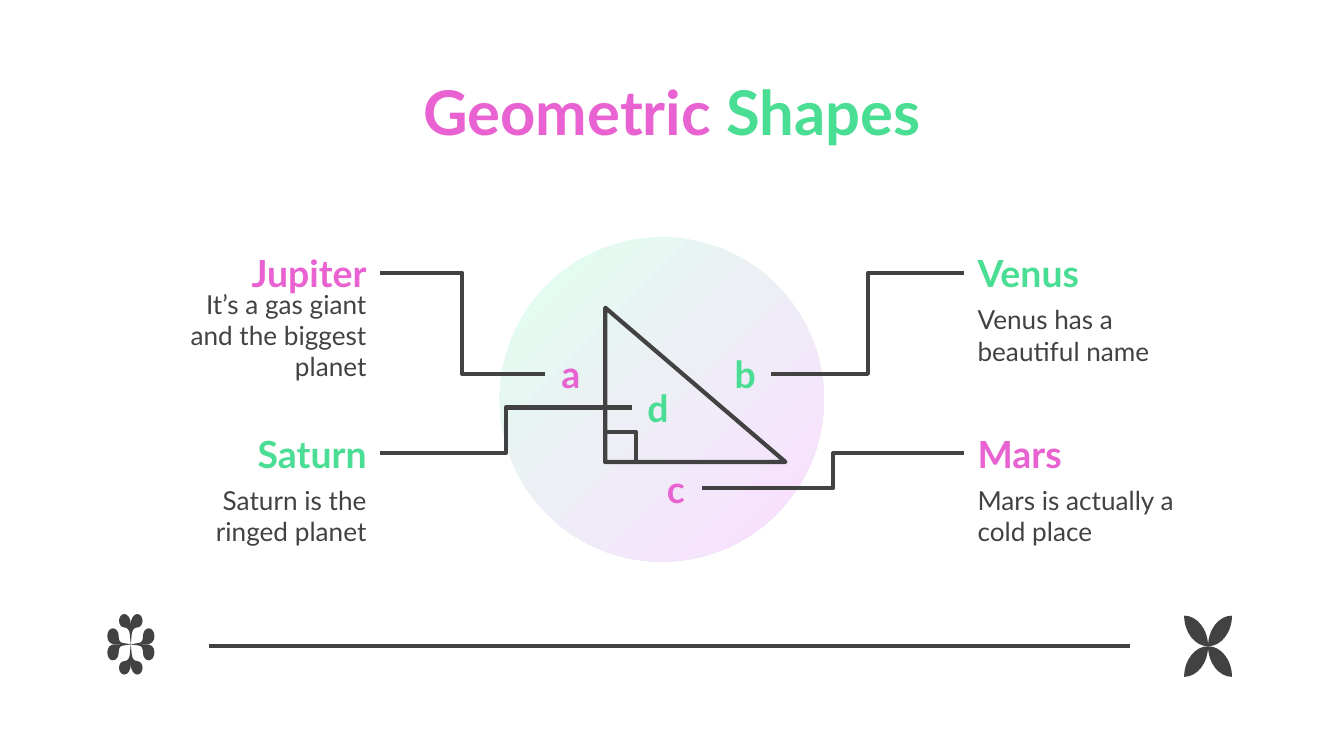
from itertools import product

from pptx import Presentation
from pptx.dml.color import RGBColor
from pptx.enum.shapes import MSO_CONNECTOR, MSO_SHAPE
from pptx.enum.text import MSO_ANCHOR, PP_ALIGN
from pptx.oxml.ns import qn
from pptx.util import Pt

COLORS = {name: RGBColor.from_string(value) for name, value in {
    "pink": "E962D1", "green": "49DE93", "dark": "424242",
    "pale green": "E0FFEE", "pale pink": "FBDDFF"}.items()}

deck = Presentation()
deck.slide_width, deck.slide_height = Pt(720), Pt(405)
page = deck.slides.add_slide(deck.slide_layouts[6])
shapes = page.shapes


def add_text(left, top, width, height, spans, size, align, bold=True, after=0):
    box = shapes.add_textbox(Pt(left), Pt(top), Pt(width), Pt(height))
    frame = box.text_frame
    frame.word_wrap = True
    frame.vertical_anchor = MSO_ANCHOR.MIDDLE
    frame.margin_left = frame.margin_right = Pt(7.2)
    frame.margin_top = frame.margin_bottom = Pt(7.2)
    para = frame.paragraphs[0]
    para.alignment = align
    para.space_after = Pt(after)
    para.font.name, para.font.size, para.font.bold = "Lato", Pt(size), bold
    for text, color in spans:
        span = para.add_run()
        span.text = text
        span.font.color.rgb = COLORS[color]
    return box


def add_line(kind, start, end):
    line = shapes.add_connector(kind, *[Pt(value) for value in (*start, *end)])
    line.line.color.rgb = COLORS["dark"]
    line.line.width = Pt(2.25)
    properties = line._element.spPr
    properties.append(properties.makeelement(qn("a:effectLst"), {}))
    return line


upright_petal = [
    [(-3.4, -16.2)],
    [(-5.1, -16.2), (-6.3, -14.6), (-6.3, -12.6)],
    [(-6.3, -10.6), (-5.1, -9), (-3.4, -9)],
    [(-1.8, -9), (-0.6, -7.5), (-0.5, -5.3)],
    [(0, 0)],
    [(0, 0), (0, -7), (0, -11)],
    [(0, -14), (-1.8, -16.2), (-3.4, -16.2)]]
side_petal = [
    [(-9.6, -8.6)],
    [(-11.3, -8.6), (-12.6, -6.7), (-12.6, -4.3)],
    [(-12.6, -1.5), (-10.8, 0), (-8.6, 0)],
    [(-5, 0), (-1, 0.2), (0, 0)],
    [(-4.3, -0.7)],
    [(-6, -0.9), (-6.5, -2.4), (-6.5, -4.5)],
    [(-6.5, -6.8), (-7.9, -8.6), (-9.6, -8.6)]]
leaf = [
    [(-12.8, -16.4)],
    [(-12.8, -7.4), (-7, 0), (0, 0)],
    [(0, -9), (-5.8, -16.4), (-12.8, -16.4)]]
ornaments = [(70.1, 345.2, upright_petal), (70.1, 345.2, side_petal),
             (647.2, 346.2, leaf)]

for center_x, center_y, segments in ornaments:
    for flip_x, flip_y in product((1, -1), repeat=2):
        points = [(Pt(center_x + flip_x * x), Pt(center_y + flip_y * y))
                  for segment in segments for x, y in segment]
        builder = shapes.build_freeform(*points[0])
        builder.add_line_segments(points[1:], close=True)
        petal = builder.convert_to_shape()
        petal.shadow.inherit = False
        petal.fill.solid()
        petal.fill.fore_color.rgb = COLORS["dark"]
        petal.line.fill.background()
        steps = iter(list(petal._element.iter(qn("a:lnTo"))))
        for segment in segments[1:]:
            first, *others = [next(steps) for point in segment]
            if others:
                first.tag = qn("a:cubicBezTo")
            for step in others:
                first.append(step[0])
                step.getparent().remove(step)

add_line(MSO_CONNECTOR.STRAIGHT, (605.5, 346.2), (112, 346.2))
add_text(58.3, 36.7, 603.4, 45.4,
         [("Geometric ", "pink"), ("Shapes", "green")], 33, PP_ALIGN.CENTER)

circle = shapes.add_shape(MSO_SHAPE.OVAL, Pt(267.7), Pt(127.2), Pt(173.7), Pt(173.7))
circle.shadow.inherit = False
circle.line.fill.background()
circle.fill.gradient()
circle.fill.gradient_angle = 315
for stop, color in zip(circle.fill.gradient_stops, ("pale green", "pale pink")):
    stop.color.rgb = COLORS[color]

marks = [
    add_text(left, top, 28.1, 26.6, [(letter, color)], 20, PP_ALIGN.CENTER)
    for letter, left, top, color in [
        ("a", 291.8, 187, "pink"), ("b", 385.2, 187, "green"),
        ("c", 348, 248.2, "pink"), ("d", 338.4, 205, "green")]]

for kind, left, top, width, height in [
        (MSO_SHAPE.RIGHT_TRIANGLE, 324.3, 164.9, 96.5, 82.6),
        (MSO_SHAPE.RECTANGLE, 324.3, 231.4, 16.4, 16.1)]:
    figure = shapes.add_shape(kind, Pt(left), Pt(top), Pt(width), Pt(height))
    figure.shadow.inherit = False
    figure.fill.background()
    figure.line.color.rgb = COLORS["dark"]
    figure.line.width = Pt(2.25)

left_column = (78.9, PP_ALIGN.RIGHT, 1, 3)
right_column = (516.6, PP_ALIGN.LEFT, 3, 1)
planets = [
    ("Jupiter", "It’s a gas giant and the biggest planet", "pink", left_column, 132.5),
    ("Venus", "Venus has a beautiful name", "green", right_column, 132.5),
    ("Mars", "Mars is actually a cold place", "pink", right_column, 229.2),
    ("Saturn", "Saturn is the ringed planet", "green", left_column, 229.2)]

for mark, (name, fact, color, column, top) in zip(marks, planets):
    left, align, mark_side, heading_side = column
    heading = add_text(left, top, 124.6, 27.4, [(name, color)], 20, align, after=12)
    add_text(left, top + 27.6, 124.6, 38.9, [(fact, "dark")], 14, align, False, 12)
    leader = add_line(MSO_CONNECTOR.ELBOW, (0, 0), (0, 0))
    leader.begin_connect(mark, mark_side)
    leader.end_connect(heading, heading_side)

deck.save("out.pptx")
